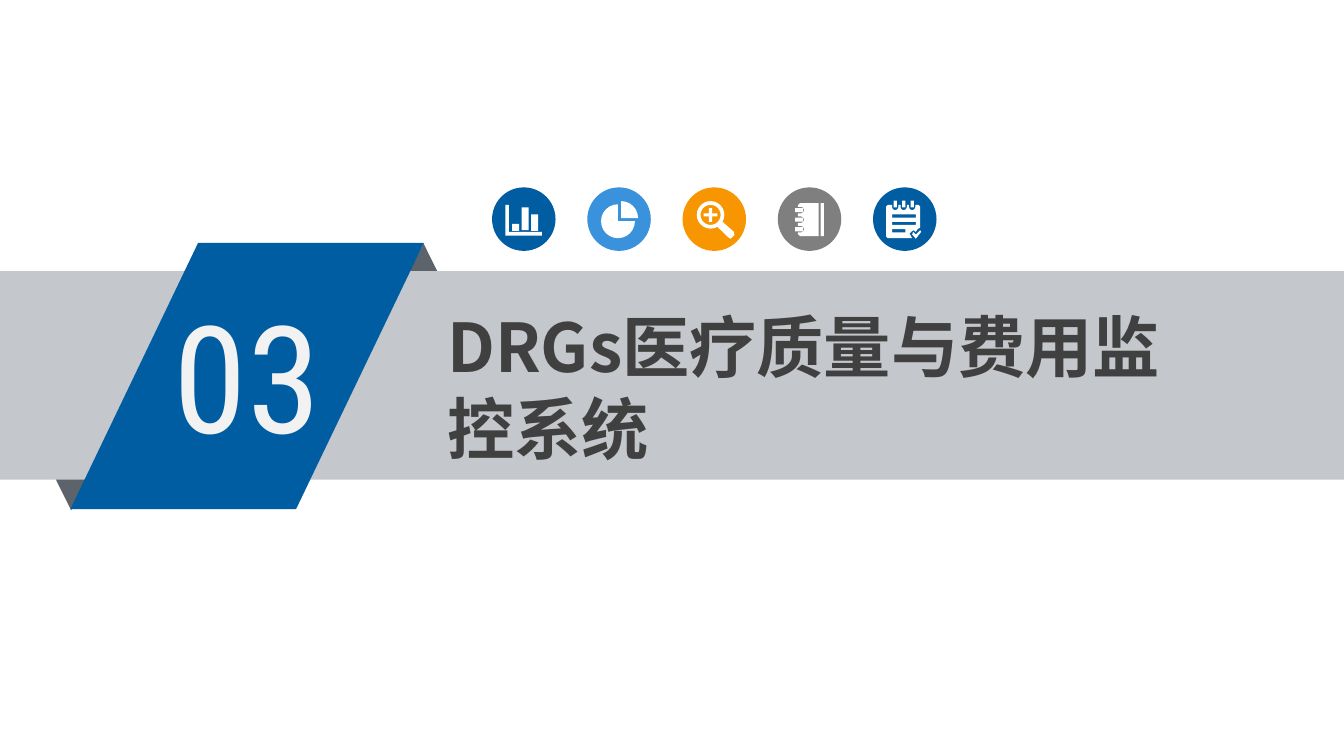
"""Build the section slide for part 03, with a folded ribbon and five round icons."""
from dataclasses import dataclass
from math import cos, radians, sin

from lxml.etree import SubElement
from pptx import Presentation
from pptx.dml.color import RGBColor
from pptx.enum.shapes import MSO_SHAPE
from pptx.enum.text import MSO_ANCHOR, MSO_AUTO_SIZE, PP_ALIGN
from pptx.oxml.ns import qn
from pptx.util import Cm, Pt


@dataclass(frozen=True)
class Theme:
    blue: str = "005DA2"
    sky: str = "3992DB"
    amber: str = "F79600"
    grey: str = "7F7F7F"
    band: str = "C4C7CB"
    fold: str = "5D636A"
    white: str = "FFFFFF"
    pale: str = "F2F2F2"
    ink: str = "404040"
    sans: str = "Noto Sans CJK SC"
    slim: str = "Roboto Condensed"
    head: float = 36
    pitch: float = 43.5
    big: float = 80


def paint(shape, hue):
    shape.shadow.inherit = False
    shape.fill.solid()
    shape.fill.fore_color.rgb = RGBColor.from_string(hue)
    shape.line.fill.background()


def arc(mid, level, size, start, end, steps):
    turns = [radians(start + (end - start) * step / steps) for step in range(steps + 1)]
    return [(mid + size * cos(turn), level + size * sin(turn)) for turn in turns]


theme = Theme()
deck = Presentation()
deck.slide_width, deck.slide_height = Cm(25.4), Cm(14.28)
slide = deck.slides.add_slide(deck.slide_layouts[5])
shapes = slide.shapes

ribbon = shapes.add_group_shape().shapes
for kind, left, top, width, height, hue, turn in (
    (MSO_SHAPE.ISOSCELES_TRIANGLE, 6.86, 4.6, 2.29, 2.31, theme.fold, 0),
    (MSO_SHAPE.ISOSCELES_TRIANGLE, 0.2, 7.33, 2.29, 2.31, theme.fold, 180),
    (MSO_SHAPE.RECTANGLE, 0, 5.12, 25.4, 3.94, theme.band, 0),
    (MSO_SHAPE.PARALLELOGRAM, 1.33, 4.59, 6.68, 5.03, theme.blue, 0),
):
    piece = ribbon.add_shape(kind, Cm(left), Cm(top), Cm(width), Cm(height))
    paint(piece, hue)
    piece.rotation = turn
piece.adjustments[0] = 0.48

number = ribbon.add_textbox(Cm(3.1), Cm(5.26), Cm(3.68), Cm(3.61))
title = shapes.title
title.left, title.top, title.width, title.height = Cm(8.28), Cm(5.69), Cm(14.02), Cm(3.28)
shapes._spTree.append(title._element)

for shape, text, face, size, hue, bold, left, top in (
    (number, "03", theme.slim, theme.big, theme.pale, False, 0.18, 0.1),
    (title, "DRGs医疗质量与费用监控系统", theme.sans, theme.head, theme.ink, True, 0.17, 0.07),
):
    frame = shape.text_frame
    frame.word_wrap = True
    frame.auto_size = MSO_AUTO_SIZE.NONE
    frame.vertical_anchor = MSO_ANCHOR.TOP
    frame.margin_left, frame.margin_right = Cm(left), Cm(2 * left)
    frame.margin_top = frame.margin_bottom = Cm(top)
    para = frame.paragraphs[0]
    para.alignment = PP_ALIGN.LEFT
    run = para.add_run()
    run.text = text
    font = run.font
    font.name, font.size, font.bold = face, Pt(size), bold
    font.color.rgb = RGBColor.from_string(hue)
    SubElement(run._r.get_or_add_rPr(), qn("a:ea"), typeface=face)
para.line_spacing = Pt(theme.pitch)

bars = [
    (0.25, 0.33, 0.07, 0.51), (0.25, 0.84, 0.69, 0.07),
    (0.38, 0.69, 0.13, 0.13), (0.56, 0.38, 0.13, 0.43), (0.74, 0.51, 0.13, 0.31),
]

pie = [
    [(0.64, 0.58)] + arc(0.64, 0.58, 0.32, -90, 0, 6),
    [(0.58, 0.64)] + arc(0.58, 0.64, 0.32, 0, 270, 18),
]

grip = [(0.97, 0.84), (0.98, 0.9), (0.91, 0.97), (0.86, 0.94)]
plus = []
for east, south in ((1, -1), (1, 1), (-1, 1), (-1, -1)):
    arms = [(0.03, 0.13), (0.03, 0.03), (0.13, 0.03)]
    for wide, tall in arms if east * south < 0 else arms[::-1]:
        plus.append((0.53 + east * wide, 0.52 + south * tall))
lens = [arc(0.53, 0.52, 0.26, 60, 390, 22) + grip, arc(0.53, 0.52, 0.19, 0, 345, 23), plus]

page = [(0.42, 0.3), (0.77, 0.3), (0.77, 0.92), (0.42, 0.92), (0.38, 0.88)]
rings = [(0.81, 0.3, 0.06, 0.62)]
for level in (0.79, 0.61, 0.43):
    page += [(0.38, level + 0.06), *arc(0.44, level, 0.06, 90, -90, 6), (0.38, level - 0.06)]
    rings.append((0.33, level - 0.04, 0.15, 0.08))
page.append((0.38, 0.34))

sheet = [(0.25, 0.36), (0.28, 0.33)]
marks = [(0.36, 0.51, 0.45, 0.06), (0.36, 0.65, 0.45, 0.06), (0.36, 0.79, 0.25, 0.06)]
for mid in (0.42, 0.58, 0.74):
    sheet += [(mid - 0.06, 0.33), *arc(mid, 0.37, 0.06, 180, 0, 6), (mid + 0.06, 0.33)]
    marks.append((mid - 0.03, 0.25, 0.06, 0.13))
sheet += [
    (0.86, 0.33), (0.89, 0.36), (0.89, 0.76), (0.84, 0.79), (0.81, 0.84),
    (0.76, 0.81), (0.69, 0.87), (0.74, 0.96), (0.28, 0.96), (0.25, 0.93),
]
tick = [(0.91, 0.84), (0.81, 0.97), (0.74, 0.89), (0.76, 0.84), (0.81, 0.89), (0.89, 0.81)]

icons = [
    (theme.blue, [], bars),
    (theme.sky, pie, []),
    (theme.amber, lens, []),
    (theme.grey, [page], rings),
    (theme.blue, [sheet, tick], marks),
]
for spot, (hue, curves, boxes) in enumerate(icons):
    left, top = 9.3 + 1.8 * spot, 3.54
    icon = shapes.add_group_shape().shapes
    paint(icon.add_shape(MSO_SHAPE.OVAL, Cm(left), Cm(top), Cm(1.2), Cm(1.2)), hue)
    frames = [[(x, y), (x + w, y), (x + w, y + h), (x, y + h)] for x, y, w, h in boxes]
    pen = None
    for curve in curves + frames:
        dots = [(Cm(left + x), Cm(top + y)) for x, y in curve]
        if pen is None:
            pen = icon.build_freeform(*dots[0])
        else:
            pen.move_to(*dots[0])
        pen.add_line_segments(dots[1:])
    paint(pen.convert_to_shape(), theme.white)

deck.save("out.pptx")
